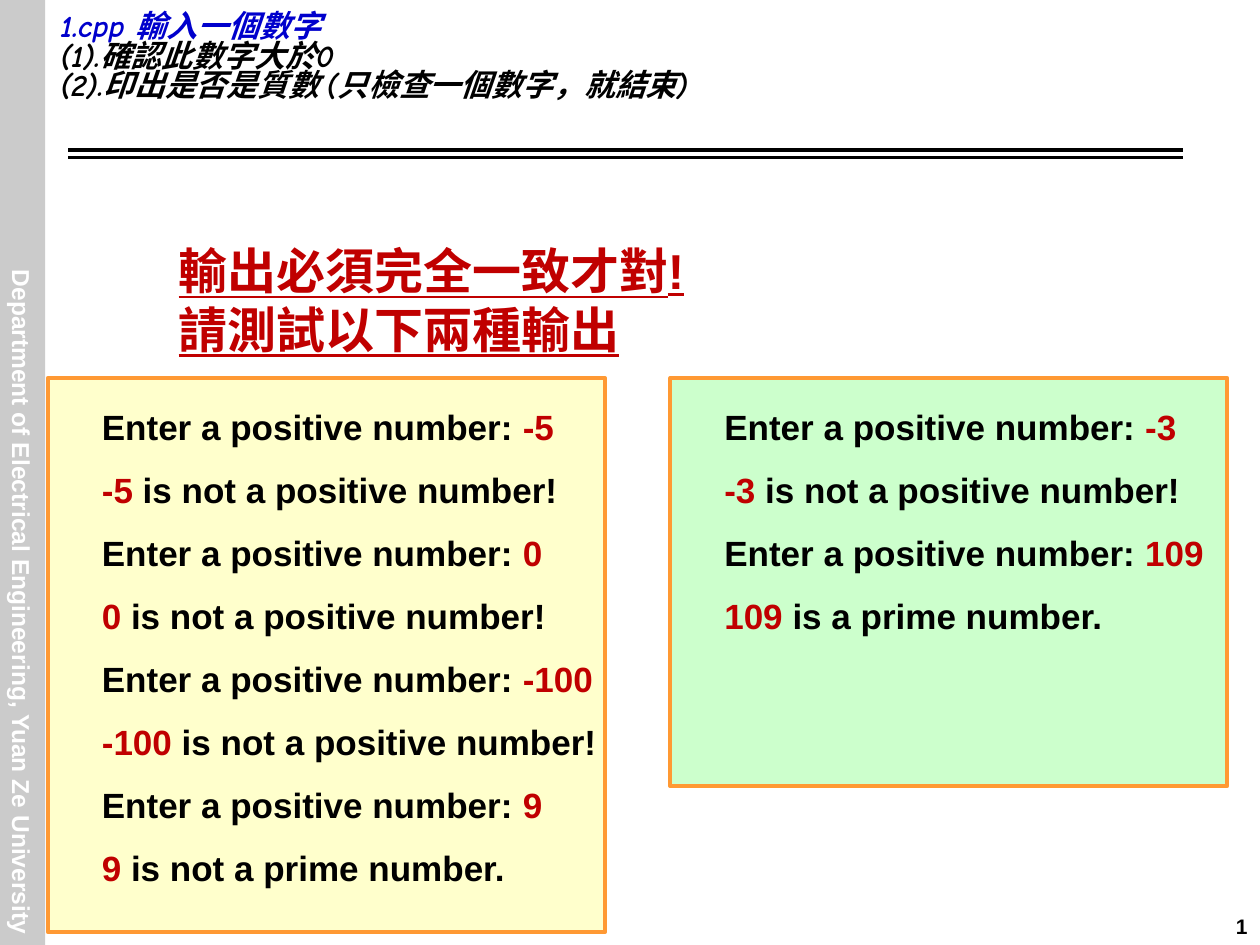
"""Build the prime-number exercise slide with its two expected outputs."""
from lxml import etree
from pptx import Presentation
from pptx import util as u
from pptx.dml.color import RGBColor
from pptx.enum import shapes, text
from pptx.oxml.ns import qn

THEME = {
    "font": "Arial", "title_font": "Comic Neue",
    "black": "000000", "white": "FFFFFF", "bar": "CBCBCB",
    "blue": "0000CC", "red": "C00000", "border": "FF9933",
    "yellow": "FFFFCC", "green": "CCFFCC",
    "title": 17.6, "heading": 28, "output": 20, "sidebar": 14, "number": 12,
}
SIDEBAR = " Department of Electrical Engineering, Yuan Ze University"
TITLE = [
    [("1.cpp 輸入一個數字\v", "blue"), ("(1).確認此數字大於0", "black")],
    [("(2).印出是否是質數 (只檢查一個數字，就結束)", "black")],
]
HEADING = ["輸出必須完全一致才對!", "請測試以下兩種輸出"]
PROMPT = "Enter a positive number: "
NOT_POSITIVE = " is not a positive number!"
PANELS = [
    (0.38, 4.4, "yellow", [("-5", NOT_POSITIVE), ("0", NOT_POSITIVE),
                           ("-100", NOT_POSITIVE), ("9", " is not a prime number.")]),
    (5.32, 3.24, "green", [("-3", NOT_POSITIVE), ("109", " is a prime number.")]),
]
PANEL_TOP, PANEL_WIDTH, TEXT_INDENT = 3, 4.42, 0.33


def color(name):
    return RGBColor.from_string(THEME[name])


def place(*box):
    return [u.Inches(v) for v in box]


def add_rect(s, box, fill, line=None):
    sp = s.shapes.add_shape(shapes.MSO_SHAPE.RECTANGLE, *place(*box))
    sp.shadow.inherit = False
    sp.fill.solid()
    sp.fill.fore_color.rgb = color(fill)
    if line:
        sp.line.color.rgb = color(line)
        sp.line.width = u.Pt(2.25)
    else:
        sp.line.fill.background()


def add_rule(s, y):
    c = s.shapes.add_connector(shapes.MSO_CONNECTOR.STRAIGHT, *place(0.54, y, 9.39, y))
    c.line.color.rgb = color("black")
    c.line.width = u.Pt(2.25)
    etree.SubElement(c._element.spPr, qn("a:effectLst"))


def write(sp, paragraphs, size, font="font", align="LEFT", spacing=None, wrap=True):
    tf = sp.text_frame
    tf.word_wrap = wrap
    tf.auto_size = text.MSO_AUTO_SIZE.NONE if wrap else text.MSO_AUTO_SIZE.SHAPE_TO_FIT_TEXT
    tf.vertical_anchor = text.MSO_ANCHOR.TOP
    for i, runs in enumerate(paragraphs):
        p = tf.paragraphs[0] if i == 0 else tf.add_paragraph()
        p.alignment = text.PP_ALIGN[align]
        p.line_spacing = spacing
        p.font.name = THEME[font]
        p.font.size = u.Pt(THEME[size])
        p.font.bold = True
        for words, ink in runs:
            r = p.add_run()
            r.text = words.rstrip("\v")
            r.font.color.rgb = color(ink)
            if words.endswith("\v"):
                p.add_line_break()
    return tf


def add_text(s, box, paragraphs, size, **style):
    sp = s.shapes.add_textbox(*place(*box))
    return sp, write(sp, paragraphs, size, **style)


def main():
    prs = Presentation()
    prs.slide_width, prs.slide_height = place(10, 7.5)
    s = prs.slides.add_slide(prs.slide_layouts[5])

    add_rect(s, (0, 0, 0.36, 7.5), "bar")
    for y in (1.19, 1.25):
        add_rule(s, y)
    sp, tf = add_text(s, (-2.6, 4.58, 5.54, 0.34), [[(SIDEBAR, "white")]], "sidebar",
                      align="CENTER", wrap=False)
    sp.rotation = 90
    tf.paragraphs[0].space_before = u.Pt(8.8)

    title = s.shapes.title
    title.left, title.top, title.width, title.height = place(0.38, 0.06, 9.62, 1.08)
    for p in write(title, TITLE, "title", font="title_font", spacing=0.8).paragraphs:
        p.font.italic = True

    _, tf = add_text(s, (1.32, 1.86, 4.3, 1.04), [[(line, "red")] for line in HEADING],
                     "heading", wrap=False)
    for p in tf.paragraphs:
        p.font.underline = True

    for left, height, fill, cases in PANELS:
        add_rect(s, (left, PANEL_TOP, PANEL_WIDTH, height), fill, "border")
        lines = [line for value, verdict in cases
                 for line in ([(PROMPT, "black"), (value, "red")],
                              [(value, "red"), (verdict, "black")])]
        add_text(s, (left + TEXT_INDENT, PANEL_TOP, 4.35, 4.5), lines, "output", spacing=1.5)

    _, tf = add_text(s, (8.31, 7.1, 1.69, 0.5), [[("1", "black")]], "number", align="RIGHT")
    tf.vertical_anchor = text.MSO_ANCHOR.MIDDLE
    prs.save("out.pptx")


if __name__ == "__main__":
    main()
